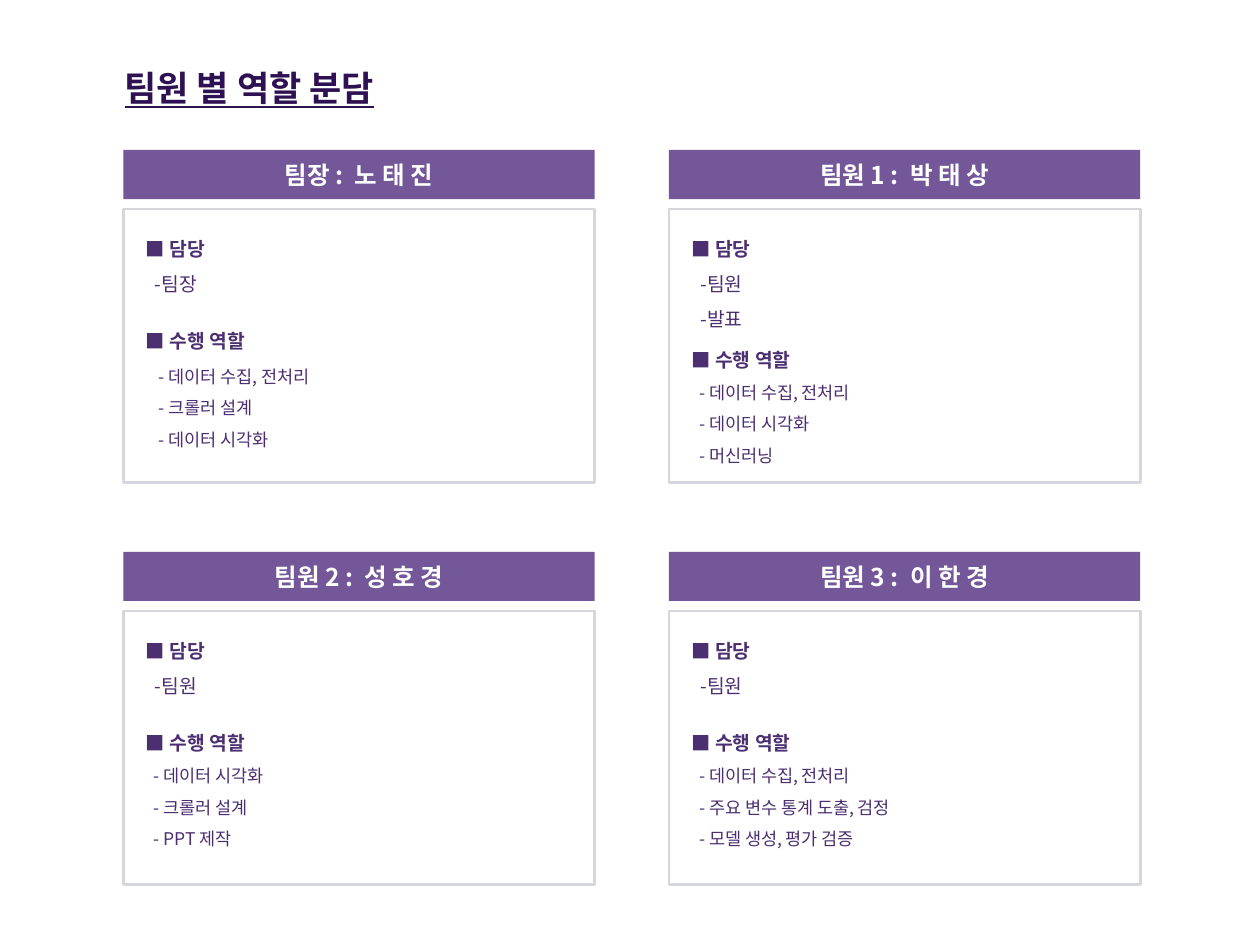
from dataclasses import dataclass
from lxml.etree import SubElement
from pptx import Presentation
from pptx.dml.color import RGBColor
from pptx.enum.shapes import MSO_SHAPE as Shape
from pptx.enum.text import MSO_ANCHOR as Anchor, PP_ALIGN as Align
from pptx.oxml.ns import qn
from pptx.util import Inches, Pt


@dataclass(frozen=True)
class Theme:
    title: str = "2D1152"
    band: str = "735798"
    border: str = "D6D7DE"
    body: str = "4B2F70"
    white: str = "FFFFFF"
    title_font: str = "Arial"
    font: str = "Noto Sans CJK KR"
    title_size: int = 20
    band_size: int = 14
    label_size: int = 11
    task_size: int = 10


THEME = Theme()
TITLE = "팀원 별 역할 분담"
DUTY, ROLE = "■ 담당", "■ 수행 역할"
MEMBERS = [
    dict(name="팀장 :  노 태 진", duties=["-팀장"], gap=12.7, own_box=True,
         tasks=["- 데이터 수집, 전처리", "- 크롤러 설계", "- 데이터 시각화"]),
    dict(name="팀원 1 :  박 태 상", duties=["-팀원", "-발표"], gap=3.4,
         tasks=["- 데이터 수집, 전처리", "- 데이터 시각화", "- 머신러닝"]),
    dict(name="팀원 2 :  성 호 경", duties=["-팀원"], gap=12.7,
         tasks=["- 데이터 시각화", "- 크롤러 설계", "- PPT 제작"]),
    dict(name="팀원 3 :  이 한 경", duties=["-팀원"], gap=12.7,
         tasks=["- 데이터 수집, 전처리", "- 주요 변수 통계 도출, 검정", "- 모델 생성, 평가 검증"]),
]
LEFT, TOP, COLUMN_STEP, ROW_STEP = 0.98, 1.19, 4.33, 3.19
CARD_WIDTH, BAND_HEIGHT, PANEL_OFFSET, PANEL_HEIGHT = 3.74, 0.39, 0.47, 2.17
PADDING = 0.08

deck = Presentation()
deck.slide_width, deck.slide_height = Inches(10), Inches(7.5)
page = deck.slides.add_slide(deck.slide_layouts[6])


def style(para, size, color, bold=False, name=THEME.font):
    font = para.font
    font.size, font.bold, font.name = Pt(size), bold, name
    font.color.rgb = RGBColor.from_string(color)
    SubElement(font._rPr, qn("a:ea")).set("typeface", THEME.font)


def add_rect(left, top, height, fill=None, line=None):
    rect = page.shapes.add_shape(Shape.RECTANGLE, Inches(left), Inches(top),
                                 Inches(CARD_WIDTH), Inches(height))
    rect.shadow.inherit = False
    for part, color in ((rect.fill, fill), (rect.line.fill, line)):
        if color:
            part.solid()
            part.fore_color.rgb = RGBColor.from_string(color)
        else:
            part.background()
    if line:
        rect.line.width = Pt(1.5)
    return rect


def add_text(left, top, width, height):
    box = page.shapes.add_textbox(Inches(left), Inches(top), Inches(width), Inches(height))
    box.text_frame.word_wrap = True
    return box.text_frame


def add_lines(frame, lines):
    for index, (text, size, bold, indent, gap) in enumerate(lines):
        para = frame.add_paragraph() if index else frame.paragraphs[0]
        para.text = text
        para.line_spacing = Pt(20 if size == THEME.label_size else 18)
        para.space_before = Pt(gap)
        para._p.get_or_add_pPr().set("marL", str(Inches(indent)))
        style(para, size, THEME.body, bold)


def add_card(member, left, top):
    band = add_rect(left, top, BAND_HEIGHT, fill=THEME.band)
    band.text_frame.vertical_anchor = Anchor.MIDDLE
    para = band.text_frame.paragraphs[0]
    para.text, para.alignment = member["name"], Align.CENTER
    style(para, THEME.band_size, THEME.white, True)

    panel_top = top + PANEL_OFFSET
    add_rect(left, panel_top, PANEL_HEIGHT, line=THEME.border)
    own_box = member.get("own_box", False)
    labels = [(DUTY, THEME.label_size, True, 0, 0)]
    labels += [(duty, THEME.label_size, False, 0.07, 0) for duty in member["duties"]]
    labels.append((ROLE, THEME.label_size, True, 0, member["gap"]))
    tasks = [(task, THEME.task_size, False, 0.03 if own_box else 0.06, 0)
             for task in member["tasks"]]
    frame = add_text(left + PADDING, panel_top + PADDING, CARD_WIDTH - 2 * PADDING,
                     1.12 if own_box else 1.88)
    if own_box:
        add_lines(frame, labels)
        add_lines(add_text(left + 0.15, panel_top + 1.11, 1.61, 0.86), tasks)
    else:
        add_lines(frame, labels + tasks)


heading = add_text(0.89, 0.48, 2.46, 0.44).paragraphs[0]
heading.text = TITLE
style(heading, THEME.title_size, THEME.title, True, THEME.title_font)
heading.font.underline = True

for index, member in enumerate(MEMBERS):
    row, column = divmod(index, 2)
    add_card(member, LEFT + column * COLUMN_STEP, TOP + row * ROW_STEP)

deck.save("out.pptx")
